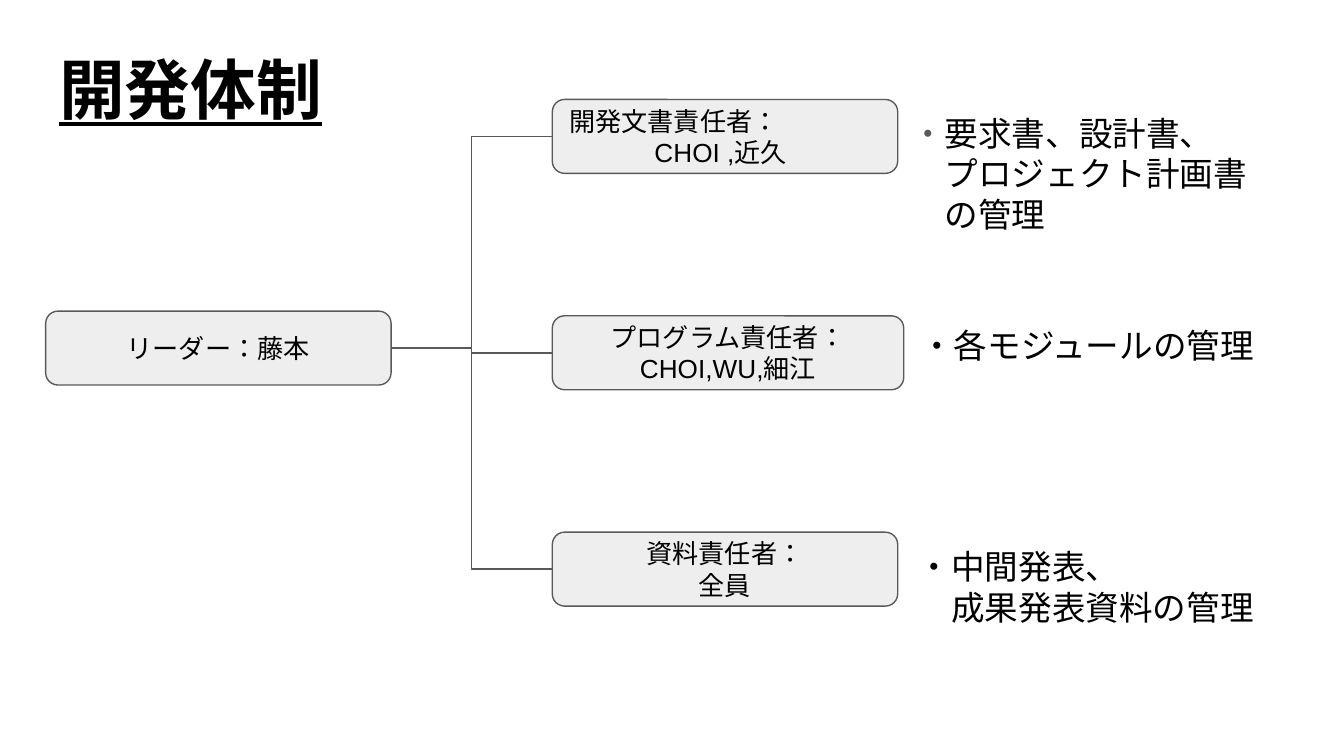
from dataclasses import dataclass

from lxml.etree import SubElement
from pptx import Presentation
from pptx.dml.color import RGBColor
from pptx.enum.lang import MSO_LANGUAGE_ID
from pptx.enum.shapes import MSO_CONNECTOR, MSO_SHAPE
from pptx.enum.text import MSO_ANCHOR, MSO_AUTO_SIZE, PP_ALIGN
from pptx.oxml.ns import qn
from pptx.util import Pt

PX = 4572
RIGHT_SITE, LEFT_SITE = 3, 1


@dataclass(frozen=True)
class Theme:
    """Colours, fonts and type sizes of the slide."""

    ink: RGBColor = RGBColor(0x00, 0x00, 0x00)
    grey: RGBColor = RGBColor(0x59, 0x59, 0x59)
    fill: RGBColor = RGBColor(0xEE, 0xEE, 0xEE)
    background: RGBColor = RGBColor(0xFF, 0xFF, 0xFF)
    box_font: str = "Arial"
    text_font: str = "Noto Sans CJK JP"
    title_size: float = 35.2
    box_size: float = 14
    duty_size: float = 18
    line_height: float = 1.2
    line_width: float = 0.75


THEME = Theme()


def scale(*lengths):
    """Turn px into EMU."""
    return [length * PX for length in lengths]


def prepare_frame(frame, anchor):
    """Set wrapping, insets and anchor of a text frame."""
    frame.word_wrap = True
    frame.auto_size = MSO_AUTO_SIZE.NONE
    frame.vertical_anchor = anchor
    frame.margin_left = frame.margin_right = 20 * PX
    frame.margin_top = frame.margin_bottom = 20 * PX


def add_run(paragraph, text, font_name, size, color):
    """Add one formatted run and return it."""
    run = paragraph.add_run()
    run.text = text
    run.font.name = font_name
    run.font.size = Pt(size)
    run.font.color.rgb = color
    run.font.language_id = MSO_LANGUAGE_ID.JAPANESE
    SubElement(run.font._element, qn("a:ea")).set("typeface", font_name)
    return run


def format_paragraph(paragraph, size, alignment=PP_ALIGN.LEFT, indent=0):
    """Set alignment, line height and left indent of a paragraph."""
    paragraph.alignment = alignment
    paragraph.line_spacing = Pt(round(size * THEME.line_height, 1))
    paragraph.space_before = paragraph.space_after = Pt(0)
    if indent:
        properties = paragraph._p.get_or_add_pPr()
        properties.set("marL", str(indent * PX))
        properties.set("indent", "0")


def next_paragraph(frame, index):
    """Return the first paragraph, or a new one after it."""
    return frame.add_paragraph() if index else frame.paragraphs[0]


def place_title(slide, box, text):
    """Place the underlined slide title."""
    title = slide.shapes.title
    title.left, title.top, title.width, title.height = scale(*box)
    prepare_frame(title.text_frame, MSO_ANCHOR.TOP)
    paragraph = title.text_frame.paragraphs[0]
    format_paragraph(paragraph, THEME.title_size)
    run = add_run(paragraph, text, THEME.text_font, THEME.title_size, THEME.ink)
    run.font.bold = True
    run.font.underline = True


def place_role(slide, box, lines, alignment=PP_ALIGN.CENTER, indent=0):
    """Place a rounded role box; the indent applies after its first line."""
    shape = slide.shapes.add_shape(MSO_SHAPE.ROUNDED_RECTANGLE, *scale(*box))
    shape.shadow.inherit = False
    shape.fill.solid()
    shape.fill.fore_color.rgb = THEME.fill
    shape.line.color.rgb = THEME.grey
    shape.line.width = Pt(THEME.line_width)
    prepare_frame(shape.text_frame, MSO_ANCHOR.MIDDLE)
    for index, line in enumerate(lines):
        paragraph = next_paragraph(shape.text_frame, index)
        format_paragraph(paragraph, THEME.box_size, alignment, indent if index else 0)
        add_run(paragraph, line, THEME.box_font, THEME.box_size, THEME.ink)
    return shape


def place_duty(slide, box, lines, dot_color=THEME.ink):
    """Place a dotted duty whose further lines hang under the first."""
    shape = slide.shapes.add_textbox(*scale(*box))
    prepare_frame(shape.text_frame, MSO_ANCHOR.TOP)
    for index, line in enumerate(lines):
        paragraph = next_paragraph(shape.text_frame, index)
        format_paragraph(paragraph, THEME.duty_size, indent=50 if index else 0)
        if index == 0:
            add_run(paragraph, "・", THEME.text_font, THEME.duty_size, dot_color)
        add_run(paragraph, line, THEME.text_font, THEME.duty_size, THEME.ink)


def connect_roles(slide, leader, role):
    """Join the leader to a role with an elbow line."""
    connector = slide.shapes.add_connector(MSO_CONNECTOR.ELBOW, 0, 0, 0, 0)
    connector.begin_connect(leader, RIGHT_SITE)
    connector.end_connect(role, LEFT_SITE)
    connector.line.color.rgb = THEME.grey
    connector.line.width = Pt(THEME.line_width)
    SubElement(connector._element.spPr, qn("a:effectLst"))


def place_organization(slide, box):
    """Place the leader, the three roles and the lines between them."""
    left, top, width, height = box
    role_left, role_gap, role_height = left + 754, 322, 110
    leader = place_role(slide, (left, top + 315, 514, role_height), ["リーダー：藤本"])
    roles = [
        (514, ["開発文書責任者：", "CHOI ,近久"], PP_ALIGN.LEFT, 127),
        (523, ["プログラム責任者：", "CHOI,WU,細江"], PP_ALIGN.CENTER, 0),
        (514, ["資料責任者：", "全員"], PP_ALIGN.CENTER, 0),
    ]
    for index, (role_width, lines, alignment, indent) in enumerate(roles):
        role_box = (role_left, top + index * role_gap, role_width, role_height)
        role = place_role(slide, role_box, lines, alignment, indent)
        connect_roles(slide, leader, role)


def place_duties(slide, box):
    """Place the duty of each role."""
    left, top, width, height = box
    documents = ["要求書、設計書、", "プロジェクト計画書", "の管理"]
    place_duty(slide, (left, top, width, 220), documents, THEME.grey)
    place_duty(slide, (left + 14, top + 315, 568, 126), ["各モジュールの管理"])
    place_duty(slide, (left + 10, top + 645, 544, 110), ["中間発表、", "成果発表資料の管理"])


def main():
    """Build and save the slide."""
    presentation = Presentation()
    presentation.slide_width, presentation.slide_height = scale(2000, 1125)
    slide = presentation.slides.add_slide(presentation.slide_layouts.get_by_name("Title Only"))
    slide.background.fill.solid()
    slide.background.fill.fore_color.rgb = THEME.background
    place_title(slide, (68, 52, 1864, 126), "開発体制")
    place_organization(slide, (68, 148, 1277, 754))
    place_duties(slide, (1336, 148, 596, 755))
    presentation.save("out.pptx")


if __name__ == "__main__":
    main()
